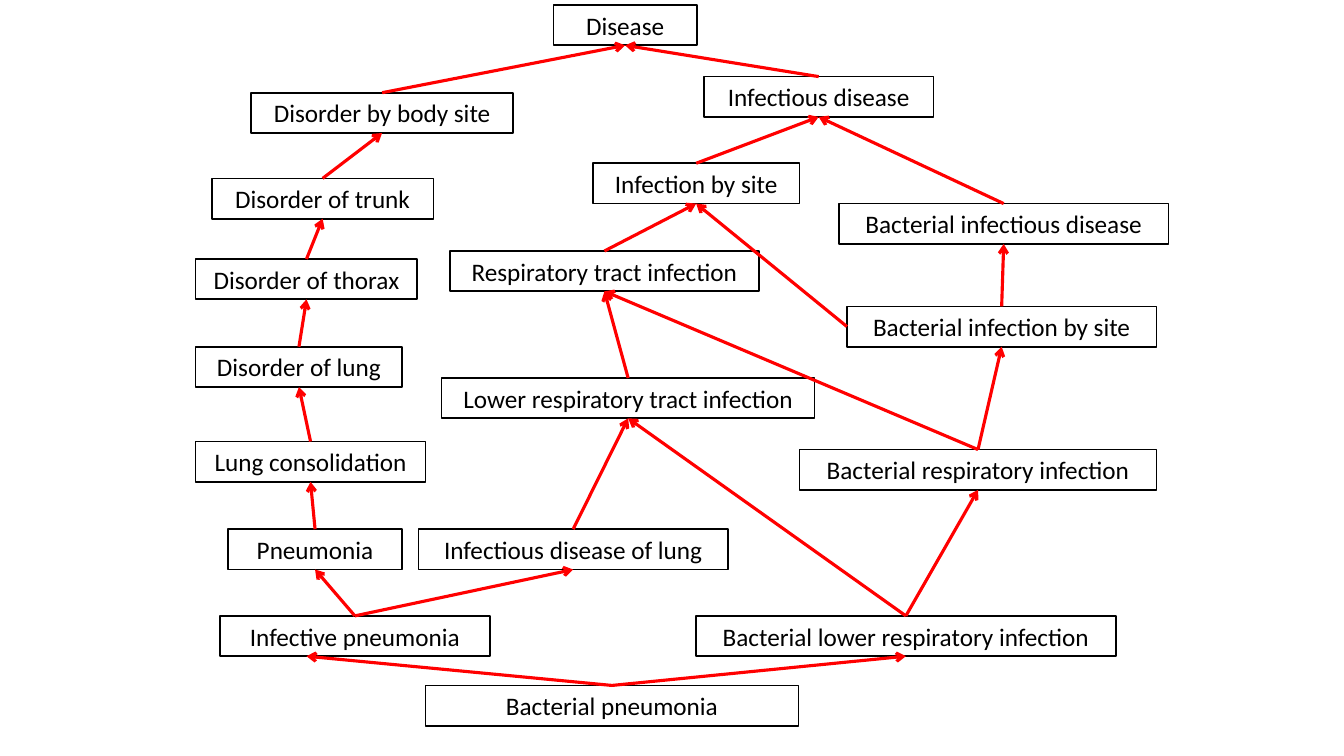
"""Build a slide showing the disease hierarchy above bacterial pneumonia."""
from dataclasses import dataclass

from lxml import etree
from pptx import Presentation
from pptx.dml.color import RGBColor
from pptx.enum.shapes import MSO_CONNECTOR, MSO_SHAPE
from pptx.enum.text import MSO_ANCHOR, MSO_AUTO_SIZE, PP_ALIGN
from pptx.oxml.ns import qn
from pptx.util import Inches, Pt

RECTANGLE = MSO_SHAPE.RECTANGLE
STRAIGHT = MSO_CONNECTOR.STRAIGHT
CENTER = PP_ALIGN.CENTER
MIDDLE = MSO_ANCHOR.MIDDLE
GROW = MSO_AUTO_SIZE.SHAPE_TO_FIT_TEXT
TOP, LEFT, BOTTOM = 0, 1, 2


@dataclass(frozen=True)
class Theme:
    font: str = "Calibri"
    text_size: Pt = Pt(18)
    ink: RGBColor = RGBColor(0x00, 0x00, 0x00)
    arrow: RGBColor = RGBColor(0xFF, 0x00, 0x00)
    border_width: Pt = Pt(1.25)
    arrow_width: Pt = Pt(2.25)


theme = Theme()
BOX_HEIGHT = 0.4

CONCEPTS = [
    ("Disease", 5.49, 0.05, 1.42),
    ("Disorder by body site", 2.49, 0.92, 2.6),
    ("Disorder of trunk", 2.1, 1.77, 2.2),
    ("Disorder of thorax", 1.94, 2.57, 2.2),
    ("Disorder of lung", 1.94, 3.44, 2.05),
    ("Lung consolidation", 1.94, 4.38, 2.28),
    ("Pneumonia", 2.26, 5.25, 1.73),
    ("Infective pneumonia", 2.18, 6.11, 2.68),
    ("Bacterial pneumonia", 4.22, 6.8, 3.7),
    ("Infectious disease", 6.98, 0.76, 2.28),
    ("Infection by site", 5.88, 1.62, 2.05),
    ("Respiratory tract infection", 4.46, 2.49, 3.07),
    ("Lower respiratory tract infection", 4.38, 3.75, 3.7),
    ("Infectious disease of lung", 4.15, 5.25, 3.07),
    ("Bacterial infectious disease", 8.32, 2.02, 3.27),
    ("Bacterial infection by site", 8.4, 3.04, 3.07),
    ("Bacterial respiratory infection", 7.93, 4.46, 3.54),
    ("Bacterial lower respiratory infection", 6.9, 6.11, 4.17),
]

PARENTS = [
    ("Disorder by body site", TOP, "Disease"),
    ("Disorder of trunk", TOP, "Disorder by body site"),
    ("Disorder of thorax", TOP, "Disorder of trunk"),
    ("Disorder of lung", TOP, "Disorder of thorax"),
    ("Lung consolidation", TOP, "Disorder of lung"),
    ("Pneumonia", TOP, "Lung consolidation"),
    ("Infective pneumonia", TOP, "Pneumonia"),
    ("Infective pneumonia", TOP, "Infectious disease of lung"),
    ("Bacterial pneumonia", TOP, "Infective pneumonia"),
    ("Bacterial pneumonia", TOP, "Bacterial lower respiratory infection"),
    ("Infectious disease", TOP, "Disease"),
    ("Infection by site", TOP, "Infectious disease"),
    ("Respiratory tract infection", TOP, "Infection by site"),
    ("Lower respiratory tract infection", TOP, "Respiratory tract infection"),
    ("Infectious disease of lung", TOP, "Lower respiratory tract infection"),
    ("Bacterial infectious disease", TOP, "Infectious disease"),
    ("Bacterial infection by site", TOP, "Bacterial infectious disease"),
    ("Bacterial infection by site", LEFT, "Infection by site"),
    ("Bacterial respiratory infection", TOP, "Bacterial infection by site"),
    ("Bacterial respiratory infection", TOP, "Respiratory tract infection"),
    ("Bacterial lower respiratory infection", TOP, "Bacterial respiratory infection"),
    ("Bacterial lower respiratory infection", TOP, "Lower respiratory tract infection"),
]

FREE_ENDS = {("Bacterial pneumonia", "Infective pneumonia"): (3.04, 6.51)}

deck = Presentation()
deck.slide_width = Inches(13.33)
deck.slide_height = Inches(7.5)
page = deck.slides.add_slide(deck.slide_layouts[6])

boxes = {}
for name, left, top, width in CONCEPTS:
    box = page.shapes.add_shape(
        RECTANGLE, Inches(left), Inches(top), Inches(width), Inches(BOX_HEIGHT)
    )
    box.shadow.inherit = False
    box.fill.background()
    box.line.color.rgb = theme.ink
    box.line.width = theme.border_width
    frame = box.text_frame
    frame.word_wrap = True
    frame.auto_size = GROW
    frame.vertical_anchor = MIDDLE
    para = frame.paragraphs[0]
    para.alignment = CENTER
    span = para.add_run()
    span.text = name
    span.font.name = theme.font
    span.font.size = theme.text_size
    span.font.color.rgb = theme.ink
    boxes[name] = box

for child, side, parent in PARENTS:
    end_x, end_y = FREE_ENDS.get((child, parent), (0, 0))
    arrow = page.shapes.add_connector(STRAIGHT, 0, 0, Inches(end_x), Inches(end_y))
    arrow.begin_connect(boxes[child], side)
    if (child, parent) not in FREE_ENDS:
        arrow.end_connect(boxes[parent], BOTTOM)
    arrow.line.color.rgb = theme.arrow
    arrow.line.width = theme.arrow_width
    properties = arrow._element.spPr
    etree.SubElement(properties.find(qn("a:ln")), qn("a:tailEnd"), type="arrow")
    etree.SubElement(properties, qn("a:effectLst"))

deck.save("out.pptx")
